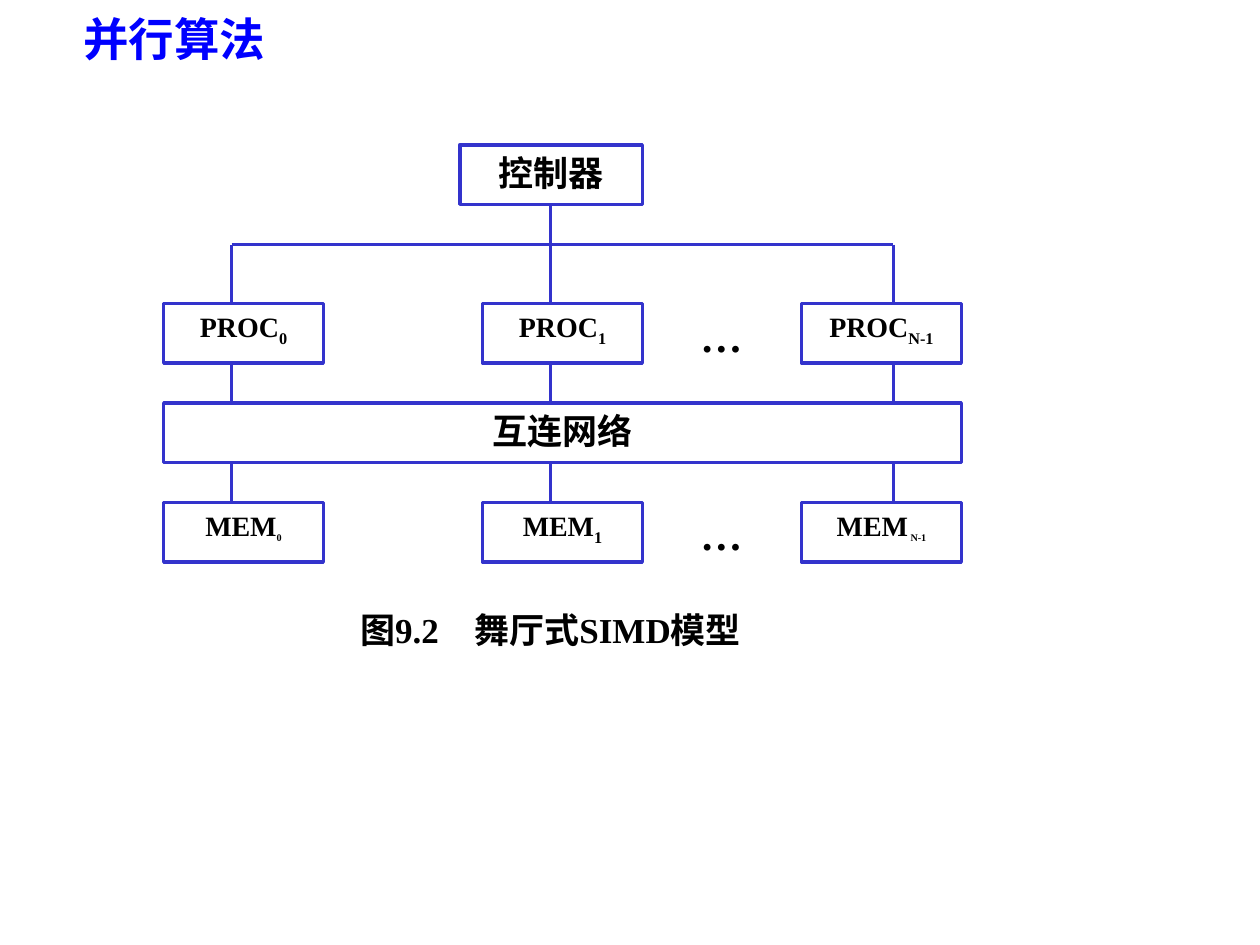
from lxml.etree import SubElement
from pptx import Presentation
from pptx.dml.color import RGBColor
from pptx.enum.shapes import MSO_CONNECTOR as CONN, MSO_SHAPE as SHAPE
from pptx.enum.text import MSO_ANCHOR as ANCHOR, MSO_AUTO_SIZE as AUTO, PP_ALIGN as ALIGN
from pptx.oxml.ns import qn
from pptx.util import Cm, Pt

BLACK = RGBColor(0x00, 0x00, 0x00)
WHITE = RGBColor(0xFF, 0xFF, 0xFF)
TITLE_BLUE = RGBColor(0x00, 0x00, 0xFF)
LINE_BLUE = RGBColor(0x33, 0x33, 0xCC)

# Grid, in cm
LEFT, COL_PITCH = 3.3, 6.43
BOX_W, BOX_H = 3.22, 1.2
CONTROL_Y, BUS_Y, CAPTION_Y = 2.92, 4.93, 12.14
PROC_Y, NET_Y, MEM_Y = (6.12 + 2.005 * i for i in range(3))
WIRE_XS = (4.67, 11.1, 18.01)


def write(tf, text, sub="", size=20, sub_size=None, color=BLACK,
          align=ALIGN.CENTER, anchor=ANCHOR.TOP):
    """Fill a text frame with bold text and an optional subscript."""
    tf.word_wrap = True
    tf.auto_size = AUTO.NONE
    tf.vertical_anchor = anchor
    tf.margin_left = tf.margin_right = Cm(0.25)
    tf.margin_top = tf.margin_bottom = Cm(0.13)
    p = tf.paragraphs[0]
    p.alignment = align
    for part, part_size in ((text, size), (sub, sub_size or size)):
        if not part:
            continue
        r = p.add_run()
        r.text = part
        font = r.font
        font.name, font.size, font.bold = "Times New Roman", Pt(part_size), True
        font.color.rgb = color
        if part is sub:
            font._element.set("baseline", "-25000")


class Diagram:
    def __init__(self, slide, line_color=LINE_BLUE, line_width=2):
        self.slide = slide
        self.line_color = line_color
        self.line_width = Pt(line_width)

    def title(self, text):
        sp = self.slide.shapes.title
        sp.left, sp.top, sp.width, sp.height = Cm(-0.15), Cm(0.08), Cm(7.34), Cm(1.37)
        write(sp.text_frame, text, size=26, color=TITLE_BLUE, anchor=ANCHOR.MIDDLE)

    def box(self, x, y, w, h, text, outlined=True, **fmt):
        sp = self.slide.shapes.add_shape(SHAPE.RECTANGLE, Cm(x), Cm(y), Cm(w), Cm(h))
        sp.shadow.inherit = False
        sp.fill.solid()
        sp.fill.fore_color.rgb = WHITE
        if outlined:
            sp.line.color.rgb = self.line_color
            sp.line.width = self.line_width
        else:
            sp.line.fill.background()
        write(sp.text_frame, text, **fmt)

    def wire(self, x1, y1, x2, y2):
        cxn = self.slide.shapes.add_connector(CONN.STRAIGHT, Cm(x1), Cm(y1), Cm(x2), Cm(y2))
        cxn.line.color.rgb = self.line_color
        cxn.line.width = self.line_width
        SubElement(cxn._element.spPr, qn("a:effectLst"))


def main():
    prs = Presentation()
    prs.slide_width, prs.slide_height = Cm(25.4), Cm(19.05)
    d = Diagram(prs.slides.add_slide(prs.slide_layouts[5]))

    d.title("并行算法")
    d.box(5.59, CAPTION_Y, 11.02, 1.6, "图9.2　舞厅式SIMD模型", outlined=False)
    d.box(9.27, CONTROL_Y, 3.68, BOX_H, "控制器")
    d.box(LEFT, NET_Y, 2 * COL_PITCH + BOX_W, BOX_H, "互连网络")

    rows = (
        (PROC_Y, "PROC", (("0", 16), ("1", 16), ("N-1", 16))),
        (MEM_Y, "MEM", (("0", 10), ("1", 16), (" N-1", 10))),
    )
    for y, name, subs in rows:
        d.box(13.87, y, 1.83, BOX_H, "…", outlined=False, size=24, align=ALIGN.JUSTIFY)
        for col, (sub, sub_size) in enumerate(subs):
            d.box(LEFT + col * COL_PITCH, y, BOX_W, BOX_H, name,
                  sub=sub, size=16, sub_size=sub_size)

    d.wire(WIRE_XS[1], CONTROL_Y + BOX_H, WIRE_XS[1], BUS_Y)
    d.wire(WIRE_XS[0], BUS_Y, WIRE_XS[-1], BUS_Y)
    spans = ((BUS_Y, PROC_Y), (PROC_Y + BOX_H, NET_Y), (NET_Y + BOX_H, MEM_Y))
    for top, bottom in spans:
        for x in WIRE_XS:
            d.wire(x, top, x, bottom)

    prs.save("out.pptx")


if __name__ == "__main__":
    main()
